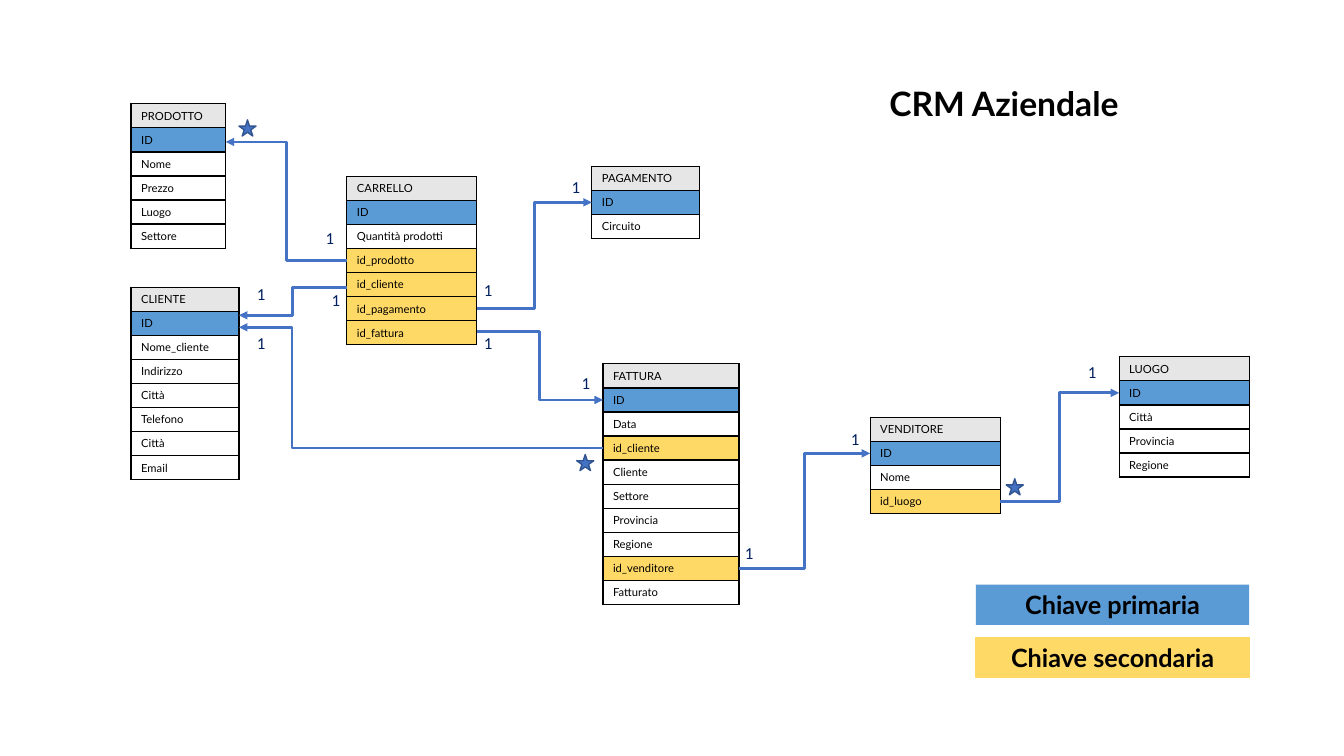
import pptx
import pptx.util
import pptx.dml.color
import pptx.enum.shapes
import pptx.enum.text
import pptx.oxml
import pptx.oxml.ns
import lxml.etree

Inches = pptx.util.Inches
Pt = pptx.util.Pt
Shapes = pptx.enum.shapes.MSO_SHAPE
Align = pptx.enum.text.PP_ALIGN
Anchor = pptx.enum.text.MSO_ANCHOR

COLORS = {
    "text": "000000", "header": "E7E6E6", "primary": "5B9BD5",
    "secondary": "FFD966", "plain": "FFFFFF", "link": "4472C4",
    "star_edge": "325491", "one": "002060",
}
ROW = 1.91 / 8
TITLE = "CRM Aziendale"

TABLES = {
    "CLIENTE": (1.3, 2.85, 1.07, ["ID", "Nome_cliente", "Indirizzo", "Città",
                                  "Telefono", "Città", "Email"]),
    "PRODOTTO": (1.3, 1.03, 0.94, ["ID", "Nome", "Prezzo", "Luogo", "Settore"]),
    "FATTURA": (5.98, 3.61, 1.35, ["ID", "Data", "id_cliente", "Cliente", "Settore",
                                   "Provincia", "Regione", "id_venditore", "Fatturato"]),
    "CARRELLO": (3.44, 1.75, 1.29, ["ID", "Quantità prodotti", "id_prodotto",
                                    "id_cliente", "id_pagamento", "id_fattura"]),
    "PAGAMENTO": (5.87, 1.65, 1.07, ["ID", "Circuito"]),
    "VENDITORE": (8.63, 4.14, 1.29, ["ID", "Nome", "id_luogo"]),
    "LUOGO": (11.1, 3.54, 1.29, ["ID", "Città", "Provincia", "Regione"]),
}
LINKS = [
    ("CARRELLO", "id_prodotto", "PRODOTTO", 0, 0.02, 0.5),
    ("CARRELLO", "id_cliente", "CLIENTE", 0.03, -0.08, 0.5),
    ("CARRELLO", "id_pagamento", "PAGAMENTO", 0, 0, 0.5),
    ("CARRELLO", "id_fattura", "FATTURA", -0.01, 0, 0.5),
    ("FATTURA", "id_cliente", "CLIENTE", 0, 0.04, 0.854),
    ("FATTURA", "id_venditore", "VENDITORE", 0, 0, 0.5),
    ("VENDITORE", "id_luogo", "LUOGO", 0, 0, 0.5),
]
ONES = [(10.69, 3.54), (3.13, 2.21), (2.45, 3.25), (5.67, 3.65), (4.7, 3.25), (4.7, 2.73),
        (5.57, 1.7), (7.29, 5.34), (8.34, 4.2), (3.19, 2.83), (2.45, 2.77)]
STARS = [(9.98, 4.75), (2.37, 1.19), (5.72, 4.51)]
LEGEND = [("Chiave primaria", "primary", 5.8, False),
          ("Chiave secondaria", "secondary", 6.32, True)]


def rgb(name):
    return pptx.dml.color.RGBColor.from_string(COLORS[name])


def write(frame, text, size, font="Lato", color="text", bold=False, align=Align.LEFT):
    frame.text = text
    para = frame.paragraphs[0]
    para.alignment = align
    span = para.runs[0]
    span.font.size = Pt(size)
    span.font.name = font
    span.font.bold = bold
    span.font.color.rgb = rgb(color)


def add_borders(cell):
    properties = cell._tc.get_or_add_tcPr()
    for side in ("lnL", "lnR", "lnT", "lnB"):
        properties.append(pptx.oxml.parse_xml(
            f'<a:{side} {pptx.oxml.ns.nsdecls("a")} w="{Pt(1)}"><a:solidFill>'
            f'<a:srgbClr val="{COLORS["text"]}"/></a:solidFill></a:{side}>'))


def row_color(index, field):
    if index == 0:
        return "header"
    if field == "ID":
        return "primary"
    return "secondary" if field.startswith("id_") else "plain"


def add_entity(page, name):
    left, top, width, fields = TABLES[name]
    rows = [name] + fields
    table = page.shapes.add_table(len(rows), 1, Inches(left), Inches(top),
                                  Inches(width), Inches(ROW * len(rows))).table
    for index, field in enumerate(rows):
        table.rows[index].height = Inches(ROW)
        cell = table.cell(index, 0)
        cell.margin_top = cell.margin_bottom = Inches(0.03)
        cell.vertical_anchor = Anchor.MIDDLE
        write(cell.text_frame, field, 8)
        add_borders(cell)
        cell.fill.solid()
        cell.fill.fore_color.rgb = rgb(row_color(index, field))


def field_point(name, field, on_right):
    left, top, width, fields = TABLES[name]
    return left + width * on_right, top + ROW * (fields.index(field) + 1.5)


def add_link(page, source, field, target, start_shift, end_shift, bend):
    rightward = TABLES[target][0] > TABLES[source][0]
    start_x, start_y = field_point(source, field, rightward)
    end_x, end_y = field_point(target, "ID", not rightward)
    link = page.shapes.add_connector(
        pptx.enum.shapes.MSO_CONNECTOR.ELBOW, Inches(start_x), Inches(start_y + start_shift),
        Inches(end_x), Inches(end_y + end_shift))
    link.line.color.rgb = rgb("link")
    link.line.width = Pt(2)
    qn = pptx.oxml.ns.qn
    properties = link._element.spPr
    guides = properties.find(qn("a:prstGeom")).get_or_add_avLst()
    lxml.etree.SubElement(guides, qn("a:gd"), name="adj1", fmla=f"val {round(bend * 100000)}")
    lxml.etree.SubElement(properties.find(qn("a:ln")), qn("a:tailEnd"), type="triangle")
    lxml.etree.SubElement(properties, qn("a:effectLst"))


def add_filled(page, kind, left, top, width, height, fill):
    shape = page.shapes.add_shape(kind, Inches(left), Inches(top), Inches(width), Inches(height))
    shape.shadow.inherit = False
    shape.fill.solid()
    shape.fill.fore_color.rgb = rgb(fill)
    return shape


deck = pptx.Presentation()
deck.slide_width, deck.slide_height = Inches(13.33), Inches(7.5)
page = deck.slides.add_slide(deck.slide_layouts[5])

title = page.shapes.title
title.left, title.top, title.width, title.height = map(Inches, (8.72, 0.77, 2.98, 0.5))
write(title.text_frame, TITLE, 24, bold=True)
title.text_frame.vertical_anchor = Anchor.MIDDLE

for name in TABLES:
    add_entity(page, name)
for link in LINKS:
    add_link(page, *link)

for left, top in ONES:
    box = page.shapes.add_textbox(Inches(left), Inches(top), Inches(0.21), Inches(0.3))
    box.text_frame.word_wrap = True
    box.text_frame.margin_right = 0
    write(box.text_frame, "1", 12, "Calibri", "one")

for left, top in STARS:
    star = add_filled(page, Shapes.STAR_5_POINT, left, top, 0.17, 0.16, "link")
    star.line.color.rgb = rgb("star_edge")
    star.line.width = Pt(1)

for label, color, top, outlined in LEGEND:
    key = add_filled(page, Shapes.RECTANGLE, 9.68, top, 2.71, 0.4, color)
    if outlined:
        key.line.color.rgb = rgb(color)
        key.line.width = Pt(0.75)
    else:
        key.line.fill.background()
    key.text_frame.vertical_anchor = Anchor.MIDDLE
    write(key.text_frame, label, 18, bold=True, align=Align.CENTER)

deck.save("out.pptx")
